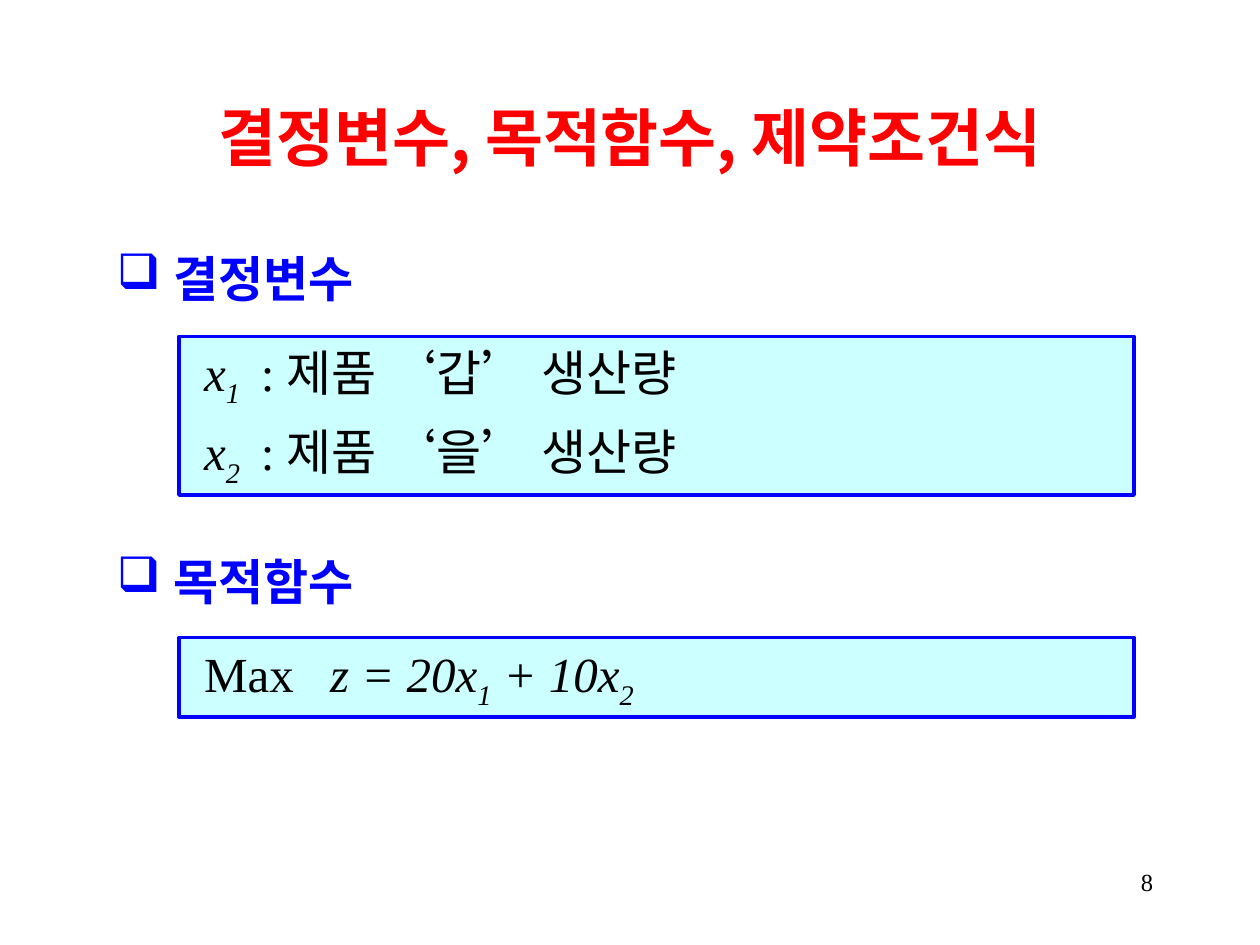
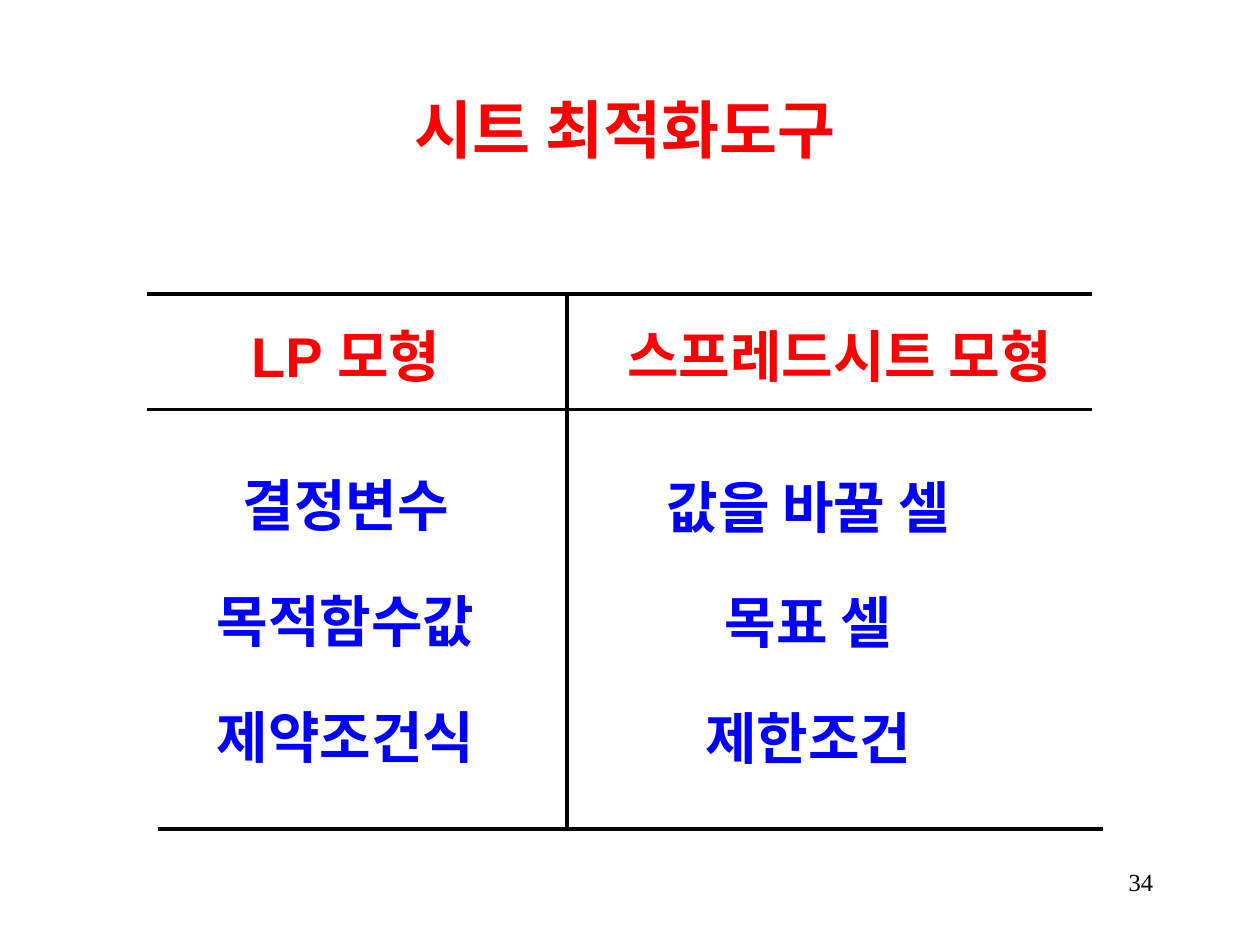
from dataclasses import dataclass

from lxml import etree
from pptx import Presentation
from pptx import util as u
from pptx.dml.color import RGBColor
from pptx.enum import shapes, text
from pptx.oxml import ns
from pptx.util import Inches


@dataclass(frozen=True)
class Theme:
    red: str = "FF0000"
    blue: str = "0000FF"
    black: str = "000000"
    pale: str = "CCFFFF"
    korean: str = "Noto Sans CJK KR"
    serif: str = "Times New Roman"
    sans: str = "Arial"
    title: int = 36
    table: int = 32
    body: int = 28
    footer: int = 14


THEME = Theme()


@dataclass(frozen=True)
class Box:
    left: float
    top: float
    width: float
    height: float

    def lengths(self) -> tuple:
        return tuple(map(Inches, (self.left, self.top, self.width, self.height)))


@dataclass(frozen=True)
class Part:
    """A stretch of text inside a paragraph."""
    words: str
    italic: bool = False
    subscript: bool = False


@dataclass(frozen=True)
class Section:
    heading: str
    heading_top: float
    panel: Box
    lines: tuple
    tab: float
    anchor: text.MSO_ANCHOR


@dataclass(frozen=True)
class Column:
    heading: str
    heading_box: Box
    heading_font: str
    entries: tuple
    entries_box: Box
    entries_font: str


def rgb(colour: str) -> RGBColor:
    return RGBColor.from_string(colour)


def write(shape, lines, *, size, font=THEME.korean, colour=THEME.black, bold=False,
          align=text.PP_ALIGN.LEFT, before=0.0, spacing=None, grow=True,
          anchor=text.MSO_ANCHOR.TOP, bullet="", indent=0.0, tab=0.0, inset=0.1) -> None:
    """Fill a shape; each line is a string or a tuple of Parts."""
    frame = shape.text_frame
    frame.word_wrap = True
    frame.auto_size = text.MSO_AUTO_SIZE.SHAPE_TO_FIT_TEXT if grow else text.MSO_AUTO_SIZE.NONE
    frame.vertical_anchor = anchor
    frame.margin_left = Inches(inset)
    for index, line in enumerate(lines):
        paragraph = frame.add_paragraph() if index else frame.paragraphs[0]
        paragraph.alignment = align
        paragraph.space_before = u.Pt(before)
        if spacing:
            paragraph.line_spacing = spacing
        properties = paragraph._p.get_or_add_pPr()
        if bullet:
            properties.set("marL", str(Inches(indent)))
            properties.set("indent", str(-Inches(indent)))
            bullet_colour = etree.SubElement(properties, ns.qn("a:buClr"))
            etree.SubElement(bullet_colour, ns.qn("a:srgbClr"), val=colour)
            etree.SubElement(properties, ns.qn("a:buChar"), char=bullet)
        if tab:
            tabs = etree.SubElement(properties, ns.qn("a:tabLst"))
            etree.SubElement(tabs, ns.qn("a:tab"), pos=str(Inches(tab)), algn="l")
        for part in (Part(line),) if isinstance(line, str) else line:
            run = paragraph.add_run()
            run.text = part.words
            run.font.size = u.Pt(size)
            run.font.name = font
            run.font.bold = bold
            run.font.italic = part.italic
            run.font.color.rgb = rgb(colour)
            run_properties = run._r.get_or_add_rPr()
            etree.SubElement(run_properties, ns.qn("a:ea"), typeface=THEME.korean)
            if part.subscript:
                run_properties.set("baseline", "-25000")


def add_text(slide, box: Box, *lines, **style) -> None:
    write(slide.shapes.add_textbox(*box.lengths()), lines, **style)


def add_title(slide, box: Box, words: str, **style) -> None:
    add_text(slide, box, words, size=THEME.title, colour=THEME.red, bold=True,
             align=text.PP_ALIGN.CENTER, **style)


def add_page_number(slide, number: int) -> None:
    add_text(slide, Box(7.17, 6.83, 2.08, 0.5), str(number), size=THEME.footer,
             font=THEME.serif, align=text.PP_ALIGN.RIGHT, grow=False)


def add_section(slide, section: Section) -> None:
    """A bulleted heading above a framed panel."""
    add_text(slide, Box(0.83, section.heading_top, 8.5, 0.57), section.heading,
             size=THEME.body, colour=THEME.blue, bold=True, before=17.5,
             bullet="❑", indent=0.45)
    panel = slide.shapes.add_shape(shapes.MSO_SHAPE.RECTANGLE, *section.panel.lengths())
    panel.shadow.inherit = False
    panel.fill.solid()
    panel.fill.fore_color.rgb = rgb(THEME.pale)
    panel.line.color.rgb = rgb(THEME.blue)
    panel.line.width = u.Pt(2)
    write(panel, section.lines, size=THEME.body, font=THEME.serif, before=7,
          anchor=section.anchor, tab=section.tab, inset=0.2)


def add_rule(slide, x1: float, y1: float, x2: float, y2: float) -> None:
    rule = slide.shapes.add_connector(shapes.MSO_CONNECTOR.STRAIGHT,
                                      *map(Inches, (x1, y1, x2, y2)))
    rule.line.color.rgb = rgb(THEME.black)
    rule.line.width = u.Pt(2.25)
    etree.SubElement(rule._element.spPr, ns.qn("a:effectLst"))


def add_column(slide, column: Column) -> None:
    shared = dict(size=THEME.table, bold=True, align=text.PP_ALIGN.CENTER, before=20)
    add_text(slide, column.heading_box, column.heading, font=column.heading_font,
             colour=THEME.red, **shared)
    add_text(slide, column.entries_box, *column.entries, font=column.entries_font,
             colour=THEME.blue, spacing=1.2, **shared)


def variable(index: str) -> tuple:
    return Part("x", italic=True), Part(index, italic=True, subscript=True)


def product_line(index: str, product: str) -> tuple:
    return *variable(index), Part(f"\t: 제품 ‘{product}’ 생산량")


SECTIONS = (
    Section("결정변수", 1.92, Box(1.42, 2.67, 7.58, 1.26),
            (product_line("1", "갑"), product_line("2", "을")),
            0.45, text.MSO_ANCHOR.TOP),
    Section("목적함수", 4.33, Box(1.42, 5.06, 7.58, 0.63),
            ((Part("Max\t"), Part("z = 20", italic=True), *variable("1"),
              Part(" + 10", italic=True), *variable("2")),),
            1.0, text.MSO_ANCHOR.MIDDLE),
)

COLUMNS = (
    Column("LP 모형", Box(1.33, 2.5, 2.83, 0.64), THEME.sans,
           ("결정변수", "목적함수값", "제약조건식"),
           Box(1.33, 3.58, 2.83, 2.58), THEME.serif),
    Column("스프레드시트 모형", Box(4.58, 2.5, 4.17, 0.64), THEME.korean,
           ("값을 바꿀 셀", "목표 셀", "제한조건"),
           Box(5, 3.59, 2.83, 2.58), THEME.korean),
)


def build_model_slide(slide) -> None:
    add_page_number(slide, 8)
    add_title(slide, Box(0.75, 0.67, 8.5, 0.83), "결정변수, 목적함수, 제약조건식",
              anchor=text.MSO_ANCHOR.MIDDLE, grow=False)
    for section in SECTIONS:
        add_section(slide, section)


def build_tool_slide(slide) -> None:
    add_page_number(slide, 34)
    add_title(slide, Box(1.42, 0.67, 7.08, 0.7), "시트 최적화도구", before=22.5)
    # Horizontal rules, then the divider between the columns
    for left, top in ((1.17, 2.33), (1.17, 3.25), (1.25, 6.58)):
        add_rule(slide, left, top, left + 7.5, top)
    add_rule(slide, 4.5, 2.33, 4.5, 6.58)
    for column in COLUMNS:
        add_column(slide, column)


def main() -> None:
    presentation = Presentation()
    presentation.slide_width = Inches(10)
    presentation.slide_height = Inches(7.5)
    blank = presentation.slide_layouts[6]
    for build in (build_model_slide, build_tool_slide):
        build(presentation.slides.add_slide(blank))
    presentation.save("out.pptx")


if __name__ == "__main__":
    main()
